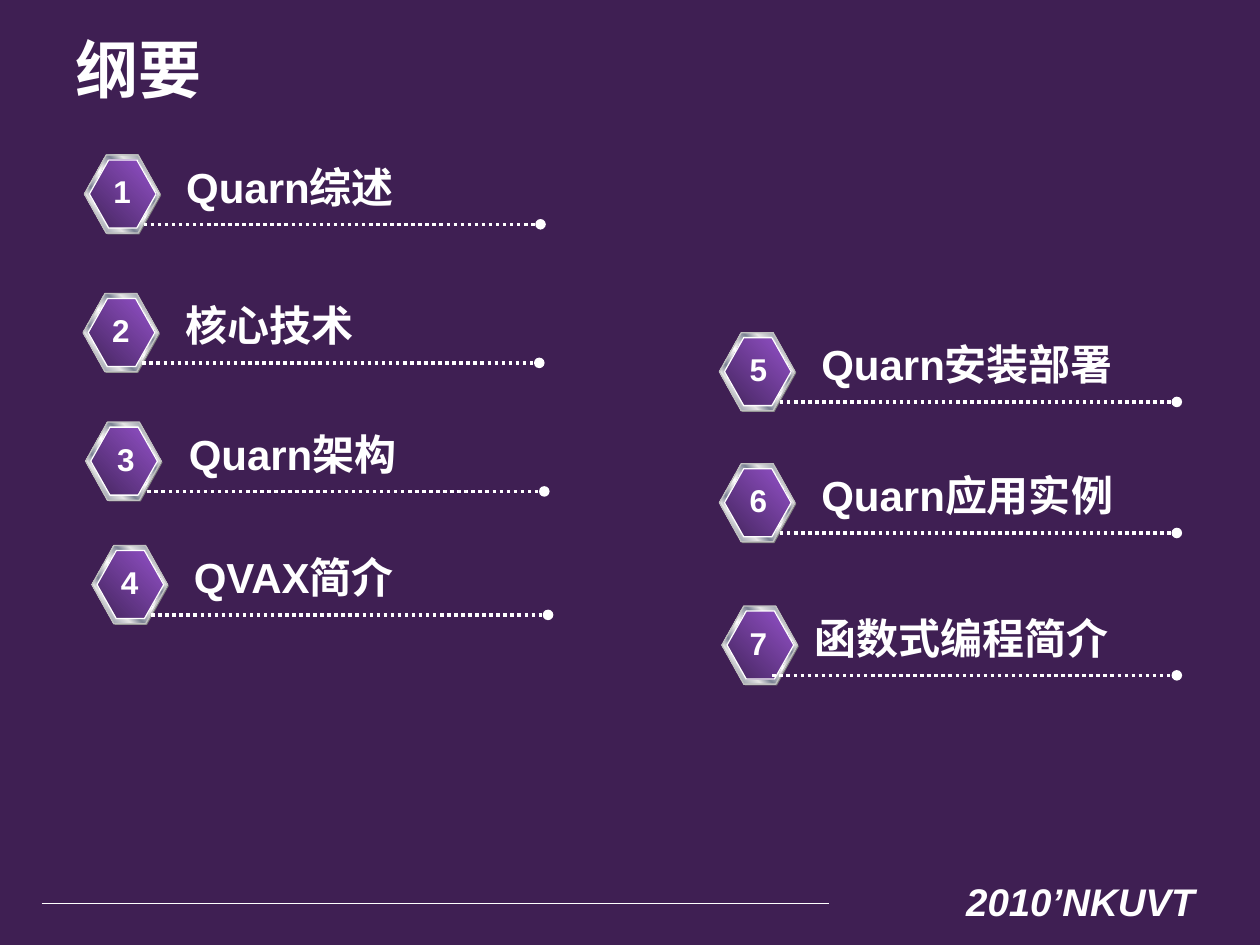
from pptx import Presentation
from pptx.dml.color import RGBColor
from pptx.enum.dml import MSO_LINE
from pptx.enum.shapes import MSO_CONNECTOR, MSO_SHAPE
from pptx.enum.text import MSO_ANCHOR, MSO_AUTO_SIZE, PP_ALIGN
from pptx.oxml.ns import qn
from pptx.util import Inches, Pt
from lxml.etree import SubElement

WHITE = "FFFFFF"
SILVER = [(0, "E6E6E6"), (8, "7D8496"), (26, "E6E6E6"), (34, "7D8496"),
          (46, "E6E6E6"), (50, WHITE), (54, "E6E6E6"), (66, "7D8496"),
          (74, "E6E6E6"), (92, "7D8496"), (100, "E6E6E6")]
PURPLE = [(0, "44255D"), (100, "9351C9")]


def rgb(color):
    return RGBColor.from_string(color)


def add_text(shapes, text, box, size, align=PP_ALIGN.LEFT, wrap=True):
    """Add bold white Arial text in a box of left, top, width, height."""
    tb = shapes.add_textbox(*map(Inches, box))
    tf = tb.text_frame
    tf.text = text
    tf.word_wrap = wrap
    tf.auto_size = MSO_AUTO_SIZE.SHAPE_TO_FIT_TEXT
    p = tf.paragraphs[0]
    p.alignment = align
    font = p.runs[0].font
    font.name, font.size, font.bold = "Arial", Pt(size), True
    font.color.rgb = rgb(WHITE)
    return tb


prs = Presentation()
prs.slide_width, prs.slide_height = Inches(10), Inches(7.5)
s = prs.slides.add_slide(prs.slide_layouts[6])
s.background.fill.solid()
s.background.fill.fore_color.rgb = rgb("3F1F53")

# Footer and title
footer = add_text(s.shapes, "2010’NKUVT", (7.36, 6.92, 2.22, 0.47), 22, PP_ALIGN.RIGHT)
footer.text_frame.paragraphs[0].runs[0].font.italic = True
rule = s.shapes.add_connector(MSO_CONNECTOR.STRAIGHT, Inches(0.33), Inches(7.17),
                              Inches(6.58), Inches(7.17))
rule.line.color.rgb = rgb(WHITE)
rule.line.width = Pt(0.5)
SubElement(rule._element.spPr, qn("a:effectLst"))

title = add_text(s.shapes, "纲要", (0.5, 0.29, 7.96, 0.5), 36)
title.text_frame.auto_size = MSO_AUTO_SIZE.NONE
title.text_frame.vertical_anchor = MSO_ANCHOR.MIDDLE

# Agenda: label, badge left and top, label left and width, line start and end
items = [
    ("Quarn综述", 0.67, 1.23, 1.38, 2.13, 1.14, 4.29),
    ("核心技术", 0.66, 2.33, 1.37, 2.91, 1.13, 4.28),
    ("Quarn架构", 0.68, 3.35, 1.40, 2.44, 1.17, 4.32),
    ("QVAX简介", 0.73, 4.33, 1.44, 2.46, 1.20, 4.35),
    ("Quarn安装部署", 5.71, 2.64, 6.42, 2.83, 6.19, 9.34),
    ("Quarn应用实例", 5.71, 3.68, 6.42, 2.91, 6.19, 9.34),
    ("函数式编程简介", 5.73, 4.81, 6.37, 2.73, 6.13, 9.34),
]
# Badge layers: offset x and y, width, height, fill, line color
layers = [
    (0.01, 0.01, 0.60, 0.62, "808080", None),
    (0, 0, 0.60, 0.62, SILVER, "C0C0C0"),
    (0.04, 0.04, 0.53, 0.54, PURPLE, WHITE),
]

for number, (label, x, y, label_x, label_w, start, end) in enumerate(items, 1):
    shapes = s.shapes.add_group_shape().shapes

    for dx, dy, w, h, fill, outline in layers:
        sp = shapes.add_shape(MSO_SHAPE.HEXAGON, Inches(x + dx), Inches(y + dy),
                              Inches(w), Inches(h))
        sp.shadow.inherit = False
        sp.adjustments[0] = 0.289
        if isinstance(fill, str):
            sp.fill.solid()
            sp.fill.fore_color.rgb = rgb(fill)
        else:
            sp.fill.gradient()
            sp.fill.gradient_angle = 45
            stops = sp._element.spPr.find(".//" + qn("a:gsLst"))
            for old in list(stops):
                stops.remove(old)
            for percent, color in fill:
                gs = SubElement(stops, qn("a:gs"), pos=str(percent * 1000))
                SubElement(gs, qn("a:srgbClr"), val=color)
        if outline:
            sp.line.color.rgb = rgb(outline)
            sp.line.width = Pt(0.75)
        else:
            sp.line.fill.background()

    line_y = Inches(y + 0.55)
    line = shapes.add_connector(MSO_CONNECTOR.STRAIGHT, Inches(start), line_y,
                                Inches(end), line_y)
    line.line.color.rgb = rgb(WHITE)
    line.line.width = Pt(2)
    line.line.dash_style = MSO_LINE.ROUND_DOT
    SubElement(line.line._get_or_add_ln(), qn("a:tailEnd"), type="oval")
    SubElement(line._element.spPr, qn("a:effectLst"))

    add_text(shapes, label, (label_x, y, label_w, 0.5), 24)
    add_text(shapes, str(number), (end - 3.49, y + 0.09, 0.34, 0.4), 18,
             PP_ALIGN.CENTER, wrap=False)

prs.save("out.pptx")
